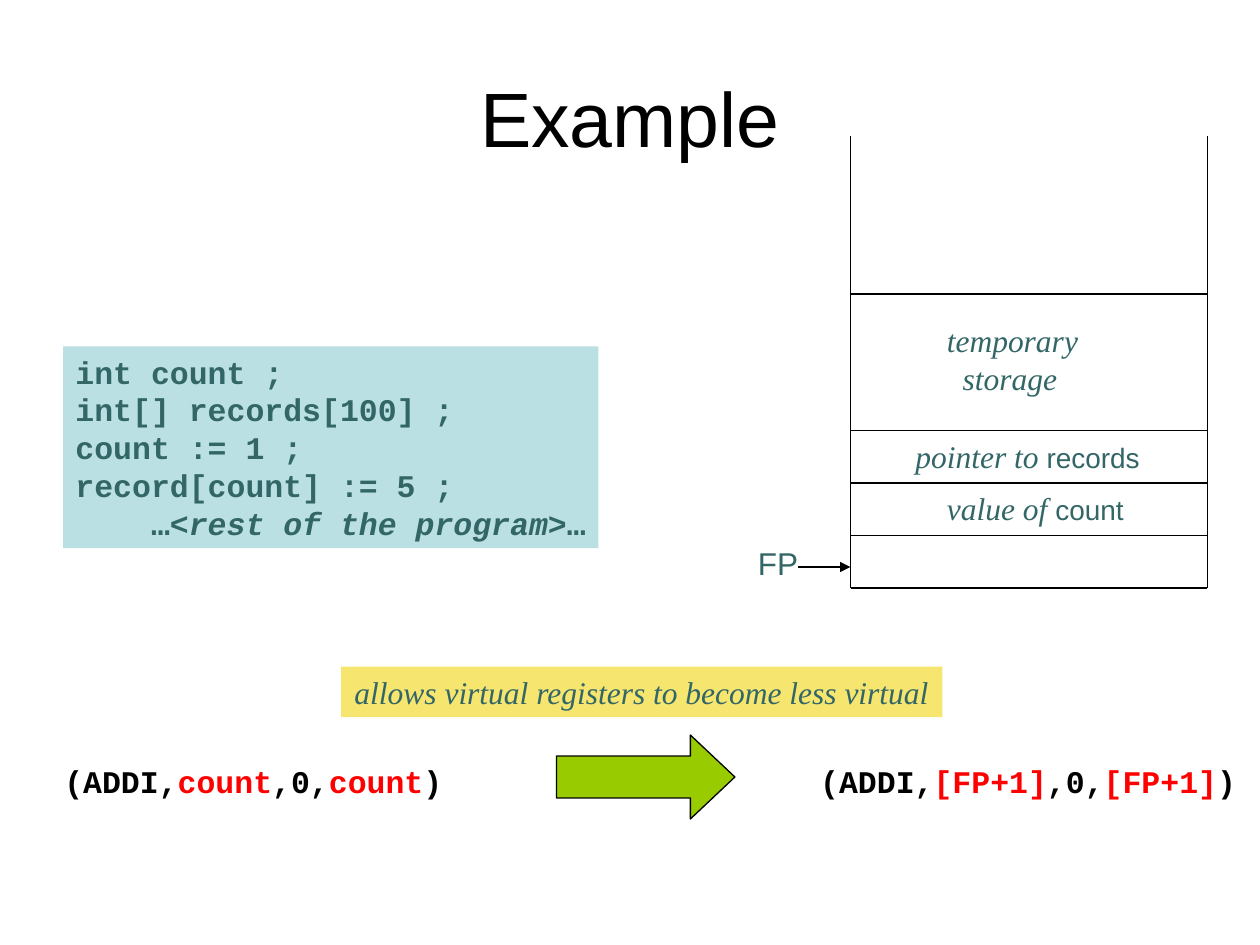
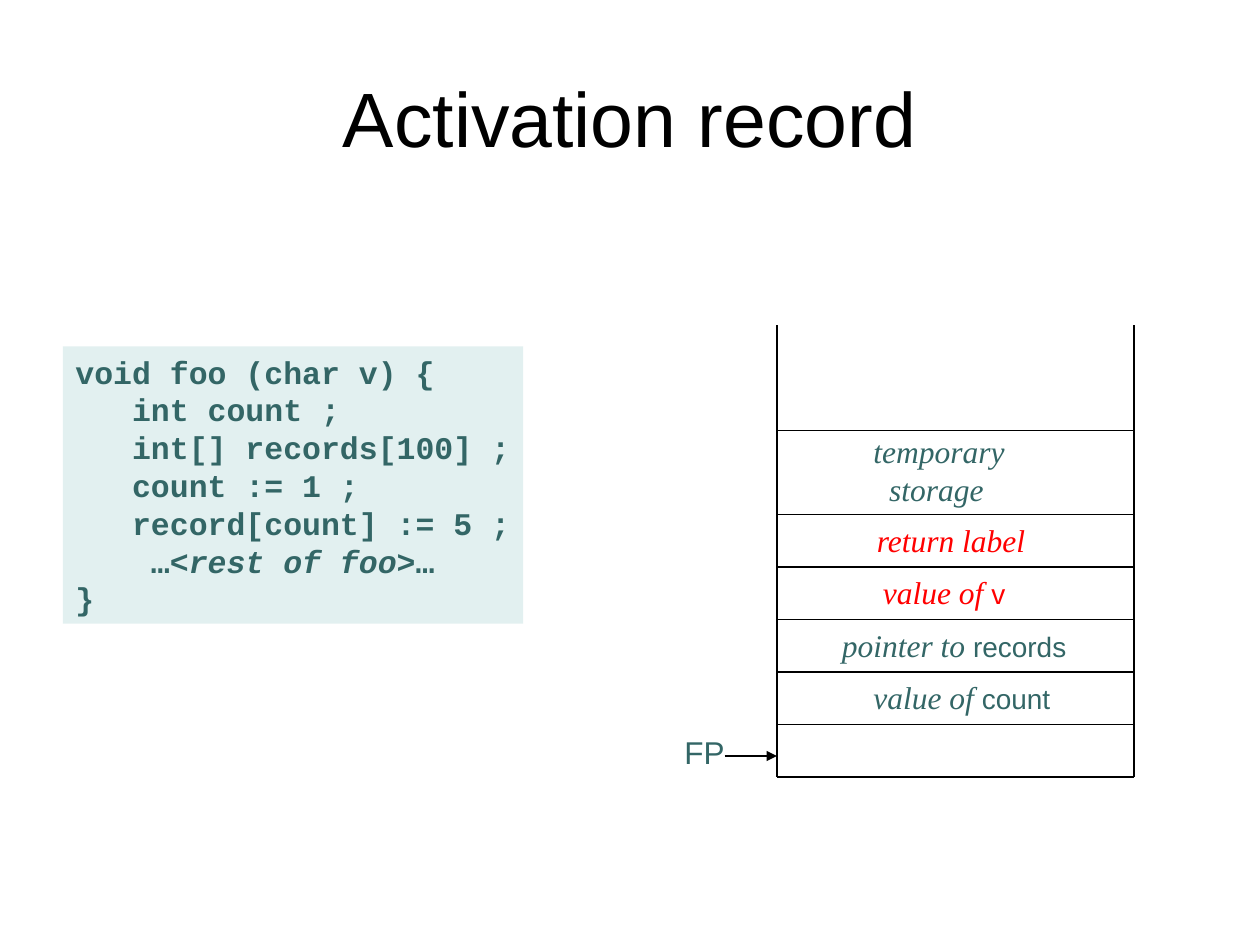
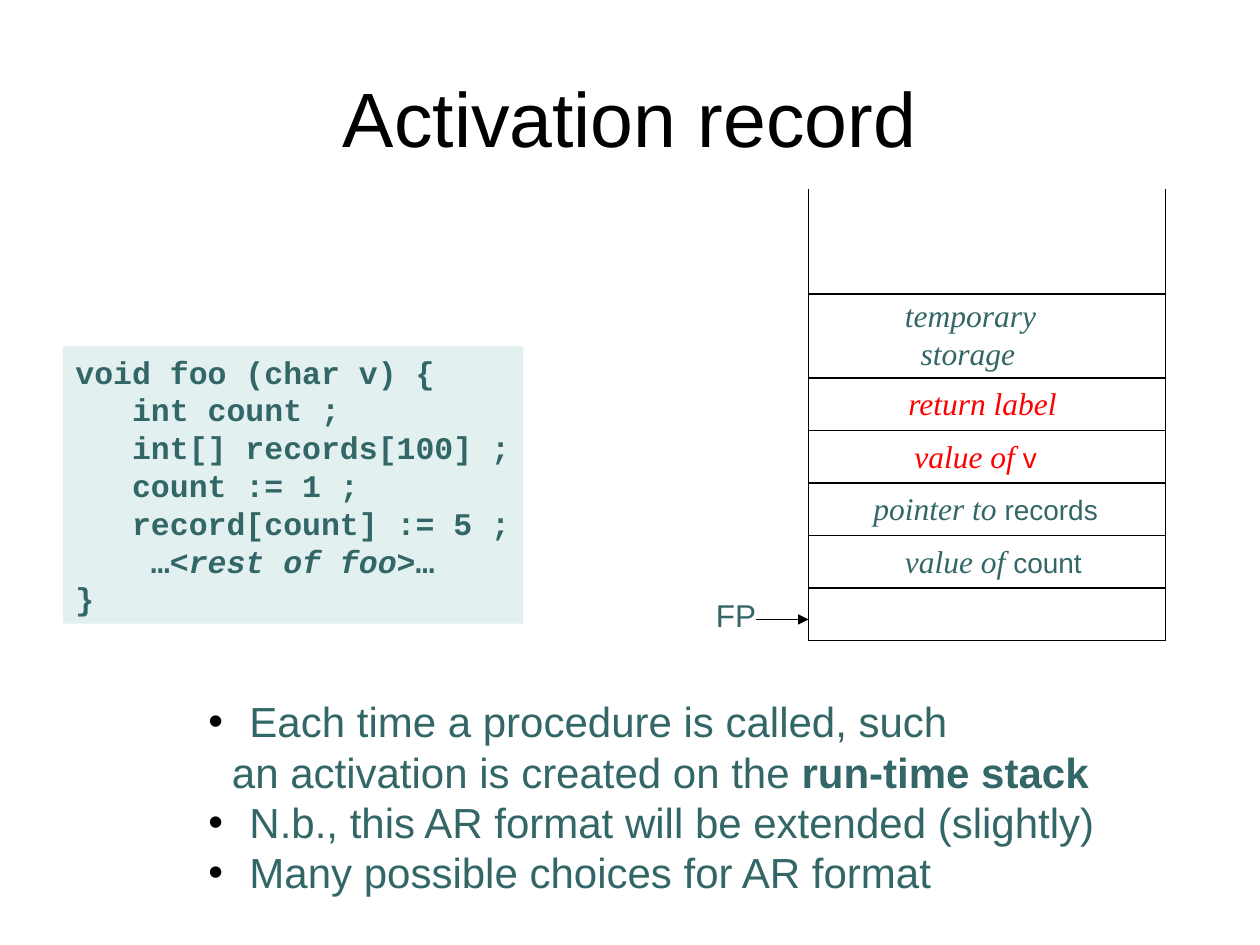
from dataclasses import dataclass, replace

from lxml.etree import SubElement
from pptx import Presentation
from pptx.dml.color import RGBColor
from pptx.enum.shapes import MSO_CONNECTOR, MSO_SHAPE
from pptx.enum.text import MSO_ANCHOR, PP_ALIGN
from pptx.oxml.ns import qn
from pptx.slide import Slide
from pptx.util import Pt


@dataclass(frozen=True)
class Theme:
    black: str = "000000"
    teal: str = "336666"
    red: str = "FF0000"
    green: str = "99CC00"
    yellow: str = "F6E670"
    main_code: str = "BBE0E3"
    foo_code: str = "E2F0F0"
    sans: str = "Arial"
    serif: str = "Times New Roman"
    mono: str = "Courier New"
    title_size: float = 44
    bullet_size: float = 24
    body_size: float = 18
    name_size: float = 16
    line_width: float = 0.75
    leading: float = 1.2


THEME = Theme()


@dataclass(frozen=True)
class Style:
    font: str = THEME.sans
    size: float = THEME.body_size
    color: str = THEME.teal
    bold: bool = False
    italic: bool = False


TITLE = Style(size=THEME.title_size, color=THEME.black)
LABEL = Style()
NAME = Style(size=THEME.name_size)
REMARK = Style(THEME.serif, italic=True)
RED_NAME = replace(NAME, color=THEME.red)
RED_REMARK = replace(REMARK, color=THEME.red)
CODE = Style(THEME.mono, bold=True)
CODE_REMARK = replace(CODE, italic=True)
TUPLE = replace(CODE, color=THEME.black)
OPERAND = replace(CODE, color=THEME.red)
BULLET = Style(size=THEME.bullet_size)
BULLET_TERM = replace(BULLET, bold=True)


@dataclass(frozen=True)
class Run:
    text: str
    style: Style


@dataclass(frozen=True)
class Line:
    runs: tuple[Run, ...]
    indent: float = 0
    bullet: bool = False


@dataclass(frozen=True)
class Box:
    left: float
    top: float
    width: float
    height: float

    def lengths(self) -> tuple[Pt, Pt, Pt, Pt]:
        return Pt(self.left), Pt(self.top), Pt(self.width), Pt(self.height)


@dataclass(frozen=True)
class Cell:
    """One slot of the stack; inset and drop place its text."""
    lines: tuple[Line, ...] = ()
    height: float = 30
    inset: float = 0
    drop: float = 0
    width: float = 0


def line(*parts: tuple[str, Style], indent: float = 0, bullet: bool = False) -> Line:
    return Line(tuple(Run(*part) for part in parts), indent, bullet)


# Stack contents, from the frame pointer upwards
FRAME = Cell()
COUNT = Cell((line(("value of ", REMARK), ("count", NAME)),), inset=48, width=119)
RECORDS = Cell((line(("pointer to ", REMARK), ("records", NAME)),), inset=30, width=146)
ARGUMENT = Cell((line(("value of ", RED_REMARK), ("v", RED_NAME)),), inset=53.5, width=88)
RETURN = Cell((line(("return label", RED_REMARK)),), inset=50, width=103)
TEMPORARY = Cell((line(("temporary", REMARK)), line(("storage", REMARK), indent=9)),
                 height=48, inset=48, drop=-2.5, width=93)
MAIN_CELLS = (FRAME, COUNT, RECORDS, replace(TEMPORARY, height=78, drop=12))
FOO_CELLS = (FRAME, COUNT, RECORDS, ARGUMENT, RETURN, TEMPORARY)
STACK_WIDTH, STACK_HEIGHT = 204, 258

# Program text
STATEMENTS = ("int count ;", "int[] records[100] ;", "count := 1 ;", "record[count] := 5 ;")


def rest_of(name: str) -> Line:
    return line(("    …<", CODE), (f"rest of {name}", CODE_REMARK), (">…", CODE))


MAIN_CODE = (*(line((text, CODE)) for text in STATEMENTS), rest_of("the program"))
FOO_CODE = (
    line(("void foo (char v) {", CODE)),
    *(line(("   " + text, CODE)) for text in STATEMENTS),
    rest_of("foo"),
    line(("}", CODE)),
)

NOTES = (
    line(("Each time a procedure is called, such", BULLET), indent=23.5, bullet=True),
    line(("an activation is created on the ", BULLET), ("run-time stack", BULLET_TERM),
         indent=13.5),
    line(("N.b., this AR format will be extended (slightly)", BULLET), indent=23.5, bullet=True),
    line(("Many possible choices for AR format", BULLET), indent=23.5, bullet=True),
)


def rgb(color: str) -> RGBColor:
    return RGBColor.from_string(color)


def format_run(run, style: Style) -> None:
    font = run.font
    font.name, font.size = style.font, Pt(style.size)
    font.bold, font.italic = style.bold, style.italic
    font.color.rgb = rgb(style.color)


def indent_paragraph(paragraph, content: Line) -> None:
    properties = paragraph._p.get_or_add_pPr()
    properties.set("marL", str(Pt(content.indent)))
    properties.set("indent", str(Pt(-content.indent if content.bullet else 0)))
    if content.bullet:
        color = SubElement(properties, qn("a:buClr"))
        SubElement(color, qn("a:srgbClr"), val=THEME.black)
        SubElement(properties, qn("a:buFont"), typeface=THEME.sans)
        SubElement(properties, qn("a:buChar"), char="•")


def add_text(slide: Slide, box: Box, lines: tuple[Line, ...],
             align: PP_ALIGN = PP_ALIGN.LEFT, fill: str | None = None) -> None:
    if fill:
        holder = slide.shapes.add_shape(MSO_SHAPE.RECTANGLE, *box.lengths())
        holder.shadow.inherit = False
        holder.fill.solid()
        holder.fill.fore_color.rgb = rgb(fill)
        holder.line.fill.background()
    else:
        holder = slide.shapes.add_textbox(*box.lengths())
    frame = holder.text_frame
    frame.word_wrap = False
    frame.vertical_anchor = MSO_ANCHOR.TOP
    frame.margin_left = frame.margin_right = Pt(7.2)
    frame.margin_top = frame.margin_bottom = Pt(3.6)
    for index, content in enumerate(lines):
        paragraph = frame.paragraphs[0] if index == 0 else frame.add_paragraph()
        if content.indent:
            indent_paragraph(paragraph, content)
        paragraph.alignment = align
        paragraph.line_spacing = Pt(content.runs[0].style.size * THEME.leading)
        for part in content.runs:
            run = paragraph.add_run()
            run.text = part.text
            format_run(run, part.style)


def add_line(slide: Slide, x1: float, y1: float, x2: float, y2: float,
             arrow: bool = False) -> None:
    connector = slide.shapes.add_connector(
        MSO_CONNECTOR.STRAIGHT, Pt(x1), Pt(y1), Pt(x2), Pt(y2))
    connector.line.color.rgb = rgb(THEME.black)
    connector.line.width = Pt(THEME.line_width)
    if arrow:
        SubElement(connector.line._get_or_add_ln(), qn("a:tailEnd"), type="triangle")
    SubElement(connector._element.spPr, qn("a:effectLst"))


def add_stack(slide: Slide, left: float, bottom: float, cells: tuple[Cell, ...]) -> None:
    right = left + STACK_WIDTH
    # Open-topped walls and floor
    for wall in (left, right):
        add_line(slide, wall, bottom - STACK_HEIGHT, wall, bottom)
    add_line(slide, left, bottom, right, bottom)
    # Slots, each closed by a rule above it
    top = bottom
    for cell in cells:
        top -= cell.height
        add_line(slide, left, top, right, top)
        if cell.lines:
            height = 7.2 + 21.6 * len(cell.lines)
            add_text(slide, Box(left + cell.inset, top + cell.drop, cell.width, height),
                     cell.lines)
    # Frame pointer
    add_text(slide, Box(left - 60, bottom - 28.8, 40, 28.8), (line(("FP", LABEL)),))
    add_line(slide, left - 30, bottom - 12, left, bottom - 12, arrow=True)


def add_instruction(slide: Slide, left: float, width: float, operand: str) -> None:
    instruction = line(("(ADDI,", TUPLE), (operand, OPERAND), (",0,", TUPLE),
                       (operand, OPERAND), (")", TUPLE))
    add_text(slide, Box(left, 432, width, 28.8), (instruction,), PP_ALIGN.CENTER)


def add_code(slide: Slide, width: float, lines: tuple[Line, ...], fill: str) -> None:
    add_text(slide, Box(36, 198, width, 7.2 + 21.6 * len(lines)), lines, fill=fill)


def add_titled_slide(deck, text: str) -> Slide:
    slide = deck.slides.add_slide(deck.slide_layouts[5])
    title = slide.shapes.title
    title.left, title.top, title.width, title.height = Box(36, 21.6, 648, 90).lengths()
    frame = title.text_frame
    frame.text = text
    frame.vertical_anchor = MSO_ANCHOR.MIDDLE
    frame.paragraphs[0].alignment = PP_ALIGN.CENTER
    format_run(frame.paragraphs[0].runs[0], TITLE)
    return slide


def build_example(deck) -> None:
    slide = add_titled_slide(deck, "Example")
    add_code(slide, 306, MAIN_CODE, THEME.main_code)
    add_stack(slide, 486, 336, MAIN_CELLS)
    # Instruction before and after allocation
    add_instruction(slide, 29.5, 230.5, "count")
    add_instruction(slide, 461.5, 252, "[FP+1]")
    becomes = slide.shapes.add_shape(MSO_SHAPE.RIGHT_ARROW, *Box(318, 420, 102, 48).lengths())
    becomes.adjustments[0], becomes.adjustments[1] = 0.5, 0.53
    becomes.shadow.inherit = False
    becomes.fill.solid()
    becomes.fill.fore_color.rgb = rgb(THEME.green)
    becomes.line.color.rgb = rgb(THEME.black)
    becomes.line.width = Pt(THEME.line_width)
    add_text(slide, Box(195, 381, 343.5, 28.8),
             (line(("allows virtual registers to become less virtual", REMARK)),),
             PP_ALIGN.CENTER, THEME.yellow)


def build_activation_record(deck, left: float, bottom: float) -> Slide:
    slide = add_titled_slide(deck, "Activation record")
    add_code(slide, 263, FOO_CODE, THEME.foo_code)
    add_stack(slide, left, bottom, FOO_CELLS)
    return slide


def main() -> None:
    deck = Presentation()
    deck.slide_width, deck.slide_height = Pt(720), Pt(540)
    build_example(deck)
    build_activation_record(deck, 444, 444)
    closing = build_activation_record(deck, 462, 366)
    add_text(closing, Box(112, 394, 524, 122.4), NOTES)
    deck.save("out.pptx")


if __name__ == "__main__":
    main()
